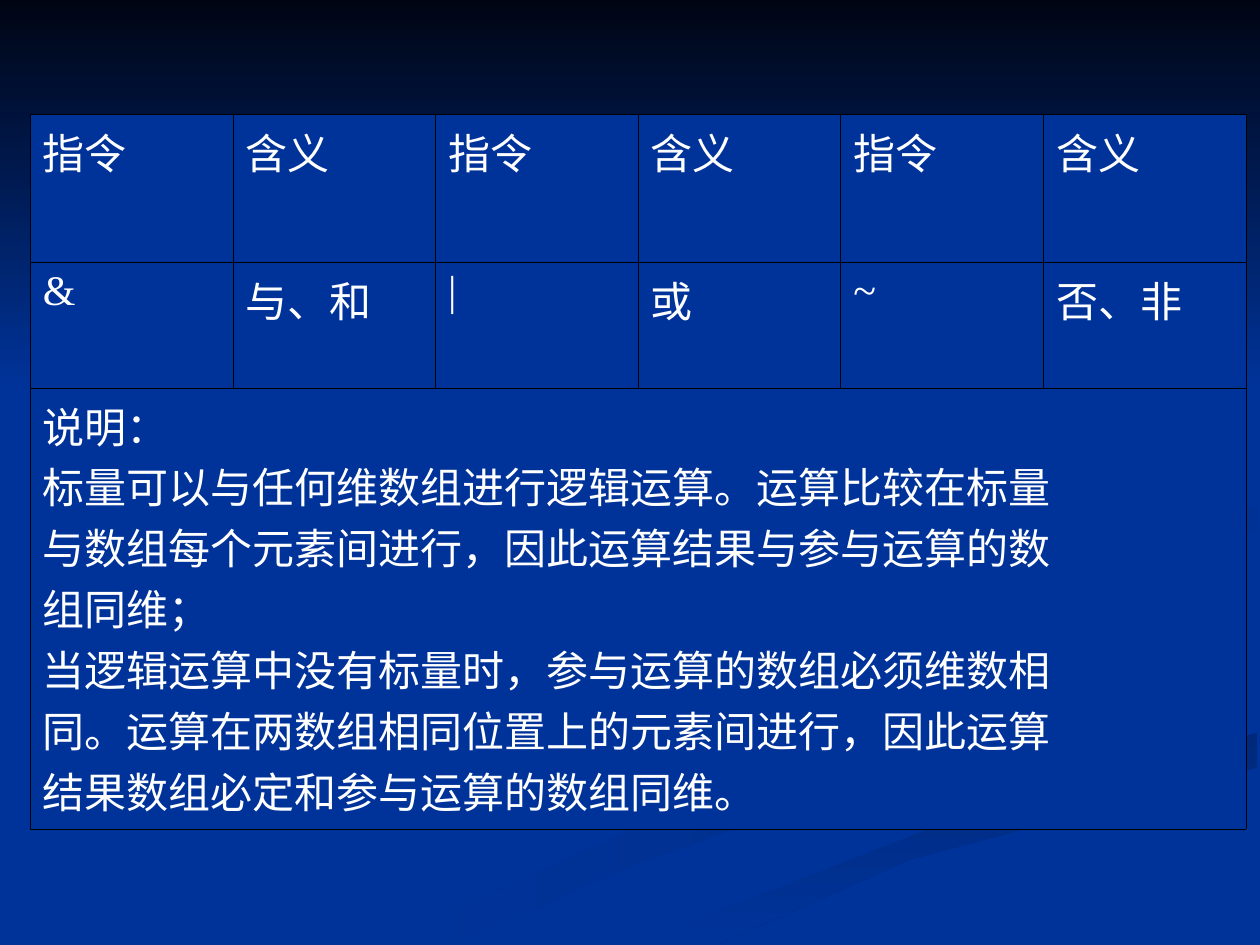
from lxml import etree
from pptx import Presentation, util as u
from pptx.dml.color import RGBColor
from pptx.oxml.ns import qn

THEME = {
    "blue": "003399", "text": "FFFFFF", "border": "000000",
    "font": "Times New Roman", "size": 24, "border_width": 0.45,
}
BLUE = THEME["blue"]

HEADER = ["指令", "含义"] * 3
OPERATORS = ["&", "与、和", "|", "或", "~", "否、非"]
NOTES = [
    "说明：",
    "标量可以与任何维数组进行逻辑运算。运算比较在标量",
    "与数组每个元素间进行，因此运算结果与参与运算的数",
    "组同维；",
    "当逻辑运算中没有标量时，参与运算的数组必须维数相",
    "同。运算在两数组相同位置上的元素间进行，因此运算",
    "结果数组必定和参与运算的数组同维。",
]
TABLE_LEFT, TABLE_TOP, TABLE_WIDTH = 0.24, 0.91, 9.65
ROW_HEIGHTS = [1.17, 1, 3.5]
HANGING_INDENT = 0.38

# Background bands: (first colour, last colour, clockwise angle, outline in inches)
BANDS = [
    ("002E8A", BLUE, 180, [
        (7.8, 5.53), (5.75, 4.59), (7.85, 5.7), (5, 6.6), (3, 7.49),
        (3.61, 7.49), (5, 6.87), (8, 5.81)]),
    ("002E8A", BLUE, 225, [
        (9.43, 5.7), (7.24, 4.64), (9.18, 5.81), (8.94, 6.05)]),
    ("00297C", BLUE, 90, [
        (5.03, 7.49), (5.71, 7.49), (7.22, 6.82), (9.98, 6.09),
        (9.98, 5.81), (7.64, 6.47), (6.3, 6.93)]),
    (BLUE, BLUE, 0, [
        (7.25, 4.64), (9.43, 5.7), (6.63, 6.68), (4.77, 7.49), (5.03, 7.49),
        (7.65, 6.47), (9.99, 5.81), (9.99, 5.38), (7.81, 4.6), (9.99, 4.02),
        (9.99, 3.87)]),
    (BLUE, "002C85", 225, [
        (7.81, 4.6), (8.26, 4.96), (8.05, 4.72), (9.98, 4.2), (9.98, 4.02)]),
    (BLUE, "002B81", 225, [
        (6.83, 4.3), (8.94, 3.44), (7.62, 2.33), (8.89, 3.35), (5.77, 4.62),
        (6.22, 5)]),
    ("000514", BLUE, 90, [(0, 0), (0, 3.08), (10, 3.08), (10, 0)]),
]


def color(name):
    return RGBColor.from_string(THEME.get(name, name))


def add_band(page, first, last, angle, outline):
    points = [(u.Inches(x), u.Inches(y)) for x, y in outline]
    builder = page.shapes.build_freeform(*points[0])
    builder.add_line_segments(points[1:], close=True)
    band = builder.convert_to_shape()
    band.shadow.inherit = False
    band.line.fill.background()
    if first == last:
        band.fill.solid()
        band.fill.fore_color.rgb = color(first)
        return
    band.fill.gradient()
    band.fill.gradient_angle = 360 - angle  # python-pptx counts anticlockwise
    for stop, shade in zip(band.fill.gradient_stops, (first, last)):
        stop.color.rgb = color(shade)


def add_borders(cell):
    properties = cell._tc.get_or_add_tcPr()
    for index, side in enumerate(("lnL", "lnR", "lnT", "lnB")):
        line = etree.Element(qn(f"a:{side}"), w=str(u.Pt(THEME["border_width"])))
        fill = etree.SubElement(line, qn("a:solidFill"))
        etree.SubElement(fill, qn("a:srgbClr"), val=THEME["border"])
        properties.insert(index, line)


def style_cell(cell):
    cell.fill.solid()
    cell.fill.fore_color.rgb = color("blue")
    add_borders(cell)
    for para in cell.text_frame.paragraphs:
        indent = u.Inches(HANGING_INDENT)
        properties = para._p.get_or_add_pPr()
        properties.set("marL", str(indent))
        properties.set("indent", str(-indent))
        for span in para.runs:
            span.font.name = THEME["font"]
            span.font.size = u.Pt(THEME["size"])
            span.font.bold = False
            span.font.color.rgb = color("text")


def add_operator_table(page):
    columns = len(HEADER)
    frame = page.shapes.add_table(
        len(ROW_HEIGHTS), columns, u.Inches(TABLE_LEFT), u.Inches(TABLE_TOP),
        u.Inches(TABLE_WIDTH), u.Inches(sum(ROW_HEIGHTS)))
    table = frame.table
    for row, height in zip(table.rows, ROW_HEIGHTS):
        row.height = u.Inches(height)
    for row, words in enumerate((HEADER, OPERATORS)):
        for column, word in enumerate(words):
            table.cell(row, column).text_frame.text = word
    notes = table.cell(2, 0)
    notes.merge(table.cell(2, columns - 1))
    notes.text_frame.text = "\n".join(NOTES)
    for cell in table.iter_cells():
        style_cell(cell)


def main():
    deck = Presentation()
    deck.slide_width, deck.slide_height = u.Inches(10), u.Inches(7.5)
    page = deck.slides.add_slide(deck.slide_layouts[6])
    page.background.fill.solid()
    page.background.fill.fore_color.rgb = color("blue")
    for band in BANDS:
        add_band(page, *band)
    add_operator_table(page)
    deck.save("out.pptx")


if __name__ == "__main__":
    main()
